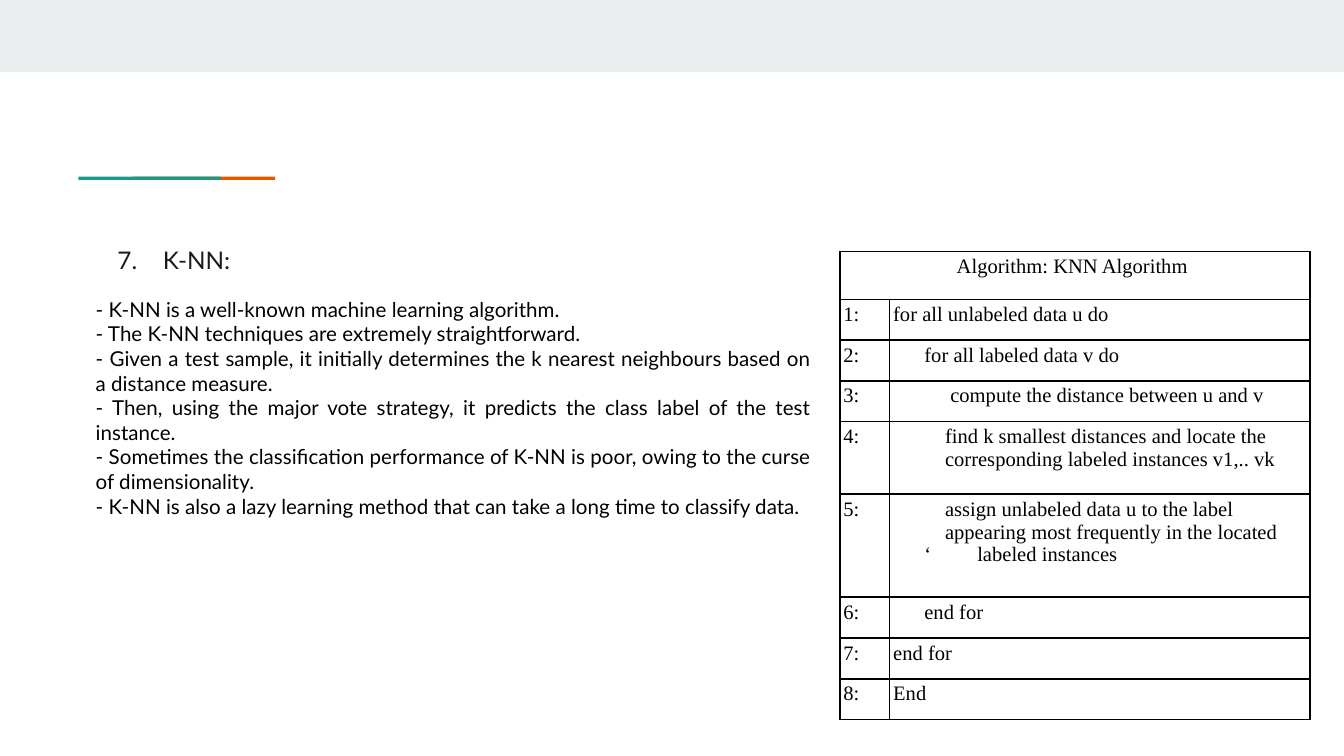
from dataclasses import dataclass

from lxml import etree
from pptx import Presentation
from pptx import util as u
from pptx.dml import color
from pptx.enum import shapes, text
from pptx.oxml import ns


@dataclass(frozen=True)
class Theme:
    band: str = "E9EDEE"
    teal: str = "1A9988"
    orange: str = "EB5600"
    heading: str = "1A1A1A"
    ink: str = "000000"
    body_font: str = "Lato"
    code_font: str = "Times New Roman"
    heading_size: int = 13
    text_size: int = 11


theme = Theme()


def set_font(paragraph, name, size, ink):
    paragraph.font.name = name
    paragraph.font.size = u.Pt(size)
    paragraph.font.color.rgb = color.RGBColor.from_string(ink)


def add_xml(parent, tag, **attributes):
    return etree.SubElement(parent, ns.qn(tag), attributes)


prs = Presentation()
prs.slide_width, prs.slide_height = u.Cm(25.4), u.Cm(14.29)
slide = prs.slides.add_slide(prs.slide_layouts[6])

for left, top, width, height, fill in [
    (0, 0, 25.4, 1.36, theme.band),
    (2.51, 3.34, 2.69, 0.06, theme.orange),
    (1.48, 3.34, 2.69, 0.06, theme.teal),
]:
    bar = slide.shapes.add_shape(
        shapes.MSO_SHAPE.RECTANGLE, u.Cm(left), u.Cm(top), u.Cm(width), u.Cm(height)
    )
    bar.shadow.inherit = False
    bar.fill.solid()
    bar.fill.fore_color.rgb = color.RGBColor.from_string(fill)
    bar.line.fill.background()

points = [
    "- K-NN is a well-known machine learning algorithm.",
    "- The K-NN techniques are extremely straightforward.",
    "- Given a test sample, it initially determines the k nearest neighbours based on a distance measure.",
    "- Then, using the major vote strategy, it predicts the class label of the test instance.",
    "- Sometimes the classification performance of K-NN is poor, owing to the curse of dimensionality.",
    "- K-NN is also a lazy learning method that can take a long time to classify data.",
]
description = slide.shapes.add_textbox(u.Cm(1.56), u.Cm(4.3), u.Cm(14.02), u.Cm(9.3)).text_frame
description.word_wrap = True
description.margin_left = description.margin_right = u.Cm(0.25)
description.margin_top = description.margin_bottom = u.Cm(0.25)

heading = description.paragraphs[0]
heading.text = "K-NN:"
heading.line_spacing = 1.15
heading_format = heading._p.get_or_add_pPr()
heading_format.set("marL", str(u.Cm(1.27)))
heading_format.set("indent", str(u.Cm(-0.86)))
add_xml(add_xml(heading_format, "a:buClr"), "a:srgbClr", val=theme.heading)
add_xml(heading_format, "a:buAutoNum", type="arabicPeriod", startAt="7")
set_font(heading, theme.body_font, theme.heading_size, theme.heading)

for index, sentence in enumerate(points):
    point = description.add_paragraph()
    point.text = sentence
    point.alignment = text.PP_ALIGN.JUSTIFY
    point.space_before = u.Pt(0 if index else 12)
    set_font(point, theme.body_font, theme.text_size, theme.ink)

steps = [
    (0.77, [("for all unlabeled data u do", 0, 0)]),
    (0.77, [("for all labeled data v do", 0.59, 0)]),
    (0.77, [("compute the distance between u and v", 1.08, 0)]),
    (1.37, [
        ("find k smallest distances and locate the", 0.98, 0),
        ("corresponding labeled instances v1,.. vk", 0.98, 0),
    ]),
    (1.95, [
        ("assign unlabeled data u to the label", 0.98, 0),
        ("appearing most frequently in the located", 0.98, 0),
        ("‘\tlabeled instances", 1.59, -1),
    ]),
    (0.77, [("end for", 0.59, 0)]),
    (0.77, [("end for", 0, 0)]),
    (0.77, [("End", 0, 0)]),
]
algorithm = slide.shapes.add_table(
    len(steps) + 1, 2, u.Cm(15.87), u.Cm(4.75), u.Cm(8.89), u.Cm(8.85)
).table
algorithm.first_row = algorithm.horz_banding = False
algorithm.columns[0].width, algorithm.columns[1].width = u.Cm(0.94), u.Cm(7.95)
algorithm.rows[0].height = u.Cm(0.91)
algorithm.cell(0, 0).merge(algorithm.cell(0, 1))
algorithm.cell(0, 0).text = "Algorithm: KNN Algorithm "
algorithm.cell(0, 0).text_frame.paragraphs[0].alignment = text.PP_ALIGN.CENTER

for number, (height, lines) in enumerate(steps, 1):
    algorithm.rows[number].height = u.Cm(height)
    algorithm.cell(number, 0).text = f"{number}:"
    code = algorithm.cell(number, 1).text_frame
    code.text = "\n".join(line for line, _, _ in lines)
    for paragraph, (_, margin, indent) in zip(code.paragraphs, lines):
        code_format = paragraph._p.get_or_add_pPr()
        code_format.set("marL", str(u.Cm(margin)))
        code_format.set("indent", str(u.Cm(indent)))

for cell in algorithm.iter_cells():
    cell.margin_left = cell.margin_right = u.Cm(0.07)
    cell.margin_top = cell.margin_bottom = u.Cm(0.07)
    for side in ("a:lnL", "a:lnR", "a:lnT", "a:lnB"):
        border = add_xml(cell._tc.get_or_add_tcPr(), side, w=str(u.Pt(1)))
        add_xml(add_xml(border, "a:solidFill"), "a:srgbClr", val=theme.ink)
    cell.fill.background()
    for paragraph in cell.text_frame.paragraphs:
        set_font(paragraph, theme.code_font, theme.text_size, theme.ink)

prs.save("out.pptx")
